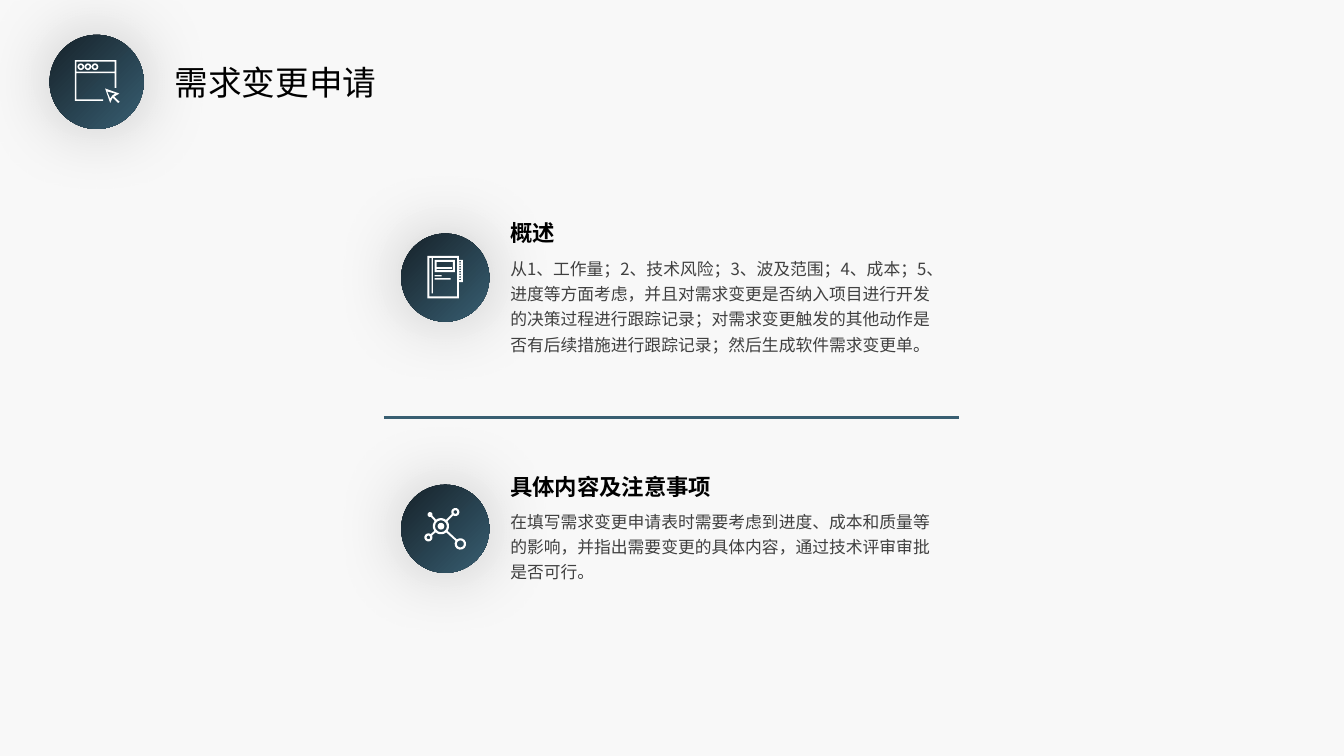
from dataclasses import dataclass
from math import asin, atan2, cos, pi, sin

from lxml.etree import SubElement
from pptx import Presentation
from pptx.dml.color import RGBColor
from pptx.enum.shapes import MSO_CONNECTOR as Connector, MSO_SHAPE as Shape
from pptx.enum.text import MSO_ANCHOR as Anchor, PP_ALIGN as Align
from pptx.oxml.ns import qn
from pptx.util import Emu, Inches, Pt

# The slide is a grid of 160 columns by 90 rows of square cells
COLUMNS, ROWS = 160, 90
CELL = Inches(7.5) / ROWS
NAVY, STEEL, WHITE = "17232B", "395F72", "FFFFFF"
BLACK, GRAY, PAPER = "000000", "404040", "F8F8F8"
SANS = "Noto Sans CJK SC"
Contour = list[tuple[float, float]]


def cells(count: float) -> Emu:
    return Emu(round(count * CELL))


def color(value: str) -> RGBColor:
    return RGBColor.from_string(value)


def write(shape, text: str, *, size: float, font: str = SANS, tint: str = BLACK,
          bold: bool = False, spacing: float = 1.0, anchor=Anchor.TOP) -> None:
    frame = shape.text_frame
    frame.word_wrap = True
    frame.vertical_anchor = anchor
    paragraph = frame.paragraphs[0]
    paragraph.alignment = Align.LEFT
    paragraph.line_spacing = spacing
    run = paragraph.add_run()
    run.text = text
    run.font.size, run.font.bold, run.font.name = Pt(size), bold, font
    run.font.color.rgb = color(tint)
    SubElement(run.font._element, qn("a:ea"), typeface=font)


def add_glow(shape) -> None:
    """Surround a shape with a soft, centred shadow."""
    shape.shadow.inherit = False
    effects = shape._element.spPr.find(qn("a:effectLst"))
    glow = SubElement(effects, qn("a:outerShdw"), blurRad=str(Pt(53)), dist="0",
                      dir="0", algn="ctr", rotWithShape="0")
    shade = SubElement(glow, qn("a:srgbClr"), val=BLACK)
    SubElement(shade, qn("a:alpha"), val="20000")


# Icon contours, in thousandths of the badge; nested ones cut holes
def arc(x: float, y: float, radius: float, start: float, end: float,
        steps: int = 12) -> Contour:
    angles = [start + (end - start) * step / steps for step in range(steps + 1)]
    return [(x + radius * cos(angle), y + radius * sin(angle)) for angle in angles]


def circle(x: float, y: float, radius: float) -> Contour:
    return arc(x, y, radius, 0, 2 * pi)[:-1]


def box(left: float, top: float, right: float, bottom: float) -> Contour:
    return [(left, top), (right, top), (right, bottom), (left, bottom)]


def window_icon() -> list[Contour]:
    frame = [(269, 269), (710, 269), (710, 565), (693, 565), (693, 407),
             (286, 407), (286, 685), (570, 685), (570, 702), (269, 702)]
    buttons = [circle(333 + 75 * column, 339, radius)
               for column in range(3) for radius in (36, 18)]
    arrow = [(591, 570), (742, 624), (688, 656), (745, 712), (730, 724),
             (670, 667), (645, 724)]
    arrow_hole = [(613, 602), (645, 678), (667, 645), (699, 624)]
    return [frame, box(286, 286, 693, 390), *buttons, arrow, arrow_hole]


def notebook_icon() -> list[Contour]:
    cover = [(299, 254), (655, 254), (655, 300), (700, 300), (700, 552),
             (655, 552), (655, 735), (299, 735)]
    page = [(320, 276), (345, 276), (345, 680), (360, 680), (360, 276),
            (634, 276), (634, 713), (320, 713)]
    label_hole = [(402, 322), (588, 322), (588, 415), (402, 415), (402, 400),
                  (575, 400), (575, 380), (402, 380)]
    lines = [box(380, 471, 460, 487), box(380, 506, 563, 524)]
    tabs = [box(657, 312 + 58 * row + inset, 680, 354 + 58 * row - inset)
            for row in range(4) for inset in (0, 14)]
    return [cover, page, box(380, 300, 609, 437), label_hole, *lines, *tabs]


def network_icon() -> list[Contour]:
    hub_x, hub_y, hub_radius, half_link = 452, 471, 92, 11
    nodes = [(328, 339, 28), (615, 310, 46), (672, 672, 65), (310, 598, 46)]
    angles = [atan2(y - hub_y, x - hub_x) for x, y, _ in nodes]
    hub_gap = asin(half_link / hub_radius)
    outline: Contour = []
    for (x, y, radius), angle, following in zip(
            nodes, angles, angles[1:] + [angles[0] + 2 * pi]):
        gap = asin(half_link / radius)
        outline += arc(x, y, radius, angle + pi + gap, angle + 3 * pi - gap)
        outline += arc(hub_x, hub_y, hub_radius, angle + hub_gap,
                       following - hub_gap, steps=5)
    holes = [circle(672, 672, 40), circle(310, 598, 21), circle(615, 310, 21)]
    return [outline, circle(hub_x, hub_y, 68), circle(hub_x, hub_y, 38), *holes]


def add_badge(group, left: float, top: float, size: float,
              icon: list[Contour]) -> None:
    disc = group.shapes.add_shape(Shape.OVAL, *map(cells, (left, top, size, size)))
    disc.fill.gradient()
    disc.fill.gradient_angle = 315
    for stop, tint in zip(disc.fill.gradient_stops, (NAVY, STEEL)):
        stop.color.rgb = color(tint)
    disc.line.fill.background()
    add_glow(disc)

    first, *others = icon
    builder = group.shapes.build_freeform(*first[0], scale=size * CELL / 1000)
    builder.add_line_segments(first[1:], close=True)
    for contour in others:
        builder.move_to(*contour[0])
        builder.add_line_segments(contour[1:], close=True)
    drawing = builder.convert_to_shape(cells(left), cells(top))
    drawing.fill.solid()
    drawing.fill.fore_color.rgb = color(WHITE)
    drawing.line.fill.background()
    add_glow(drawing)


@dataclass(frozen=True)
class Section:
    heading: str
    body: str
    heading_row: float
    heading_width: float
    badge_row: float
    body_row: float
    icon: list[Contour]


SECTIONS = (
    Section("概述",
            "从1、工作量；2、技术风险；3、波及范围；4、成本；5、进度等方面考虑，"
            "并且对需求变更是否纳入项目进行开发的决策过程进行跟踪记录；"
            "对需求变更触发的其他动作是否有后续措施进行跟踪记录；然后生成软件需求变更单。",
            24.84, 26.9, 27.8, 29.6, notebook_icon()),
    Section("具体内容及注意事项",
            "在填写需求变更申请表时需要考虑到进度、成本和质量等的影响，"
            "并指出需要变更的具体内容，通过技术评审审批是否可行。",
            55.15, 38.3, 57.7, 59.68, network_icon()),
)


def add_section(slide, section: Section) -> None:
    group = slide.shapes.add_group_shape()
    add_badge(group, 47.75, section.badge_row, 10.5, section.icon)
    body = group.shapes.add_textbox(*map(cells, (59.57, section.body_row, 54, 13.3)))
    write(body, section.body, size=12, tint=GRAY, spacing=1.25)
    heading = group.shapes.add_textbox(
        *map(cells, (59.57, section.heading_row, section.heading_width, 5)))
    write(heading, section.heading, size=16, bold=True, spacing=1.2)


def main() -> None:
    presentation = Presentation()
    presentation.slide_width, presentation.slide_height = cells(COLUMNS), cells(ROWS)
    slide = presentation.slides.add_slide(presentation.slide_layouts[5])
    slide.background.fill.solid()
    slide.background.fill.fore_color.rgb = color(PAPER)

    # Title with its badge
    add_badge(slide.shapes.add_group_shape(), 5.9, 4.15, 11.2, window_icon())
    title = slide.shapes.title
    title.left, title.top, title.width, title.height = map(cells, (19.6, 6.8, 61.2, 6))
    write(title, "需求变更申请", size=24, font="Arial", anchor=Anchor.MIDDLE)

    # Two sections and the rule between them
    for section in SECTIONS:
        add_section(slide, section)
    rule = slide.shapes.add_connector(
        Connector.STRAIGHT, *map(cells, (45.7, 49.7, 114.2, 49.7)))
    rule.line.color.rgb = color(STEEL)
    rule.line.width = Pt(2.25)
    SubElement(rule._element.spPr, qn("a:effectLst"))

    presentation.save("out.pptx")


if __name__ == "__main__":
    main()
